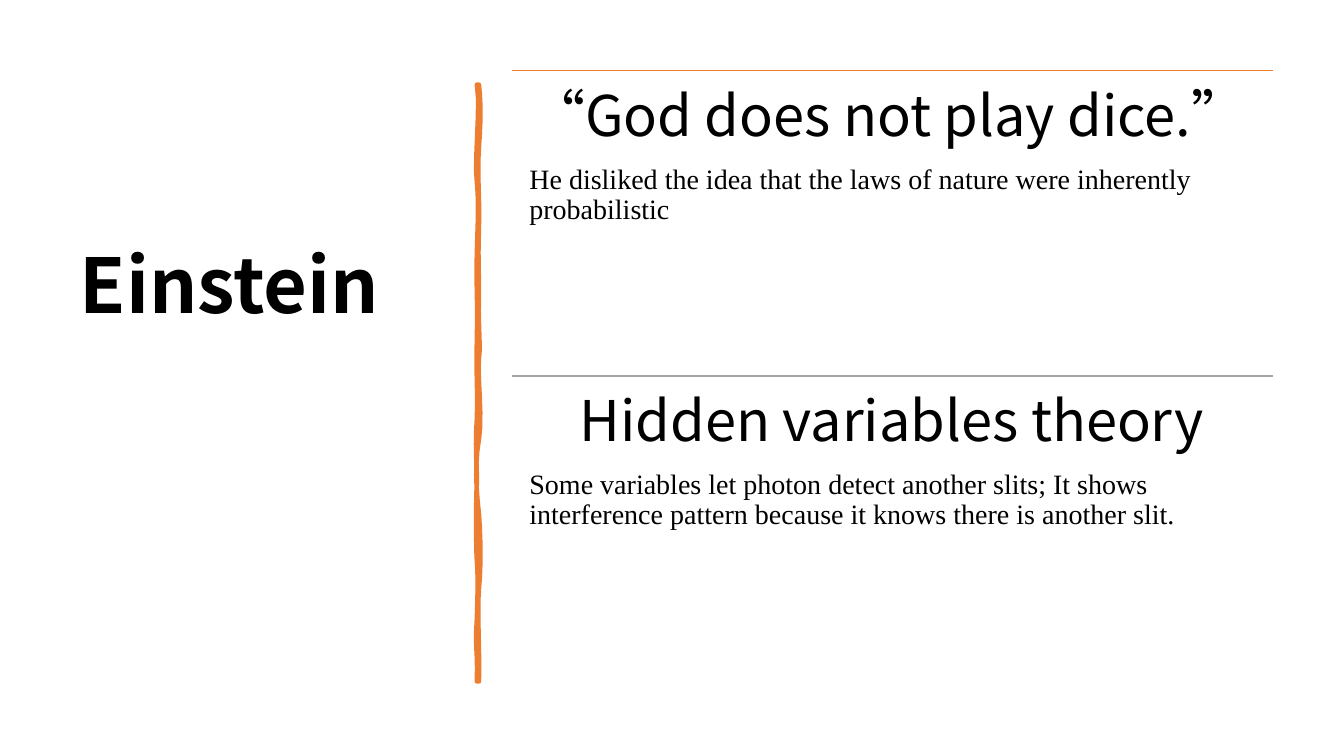
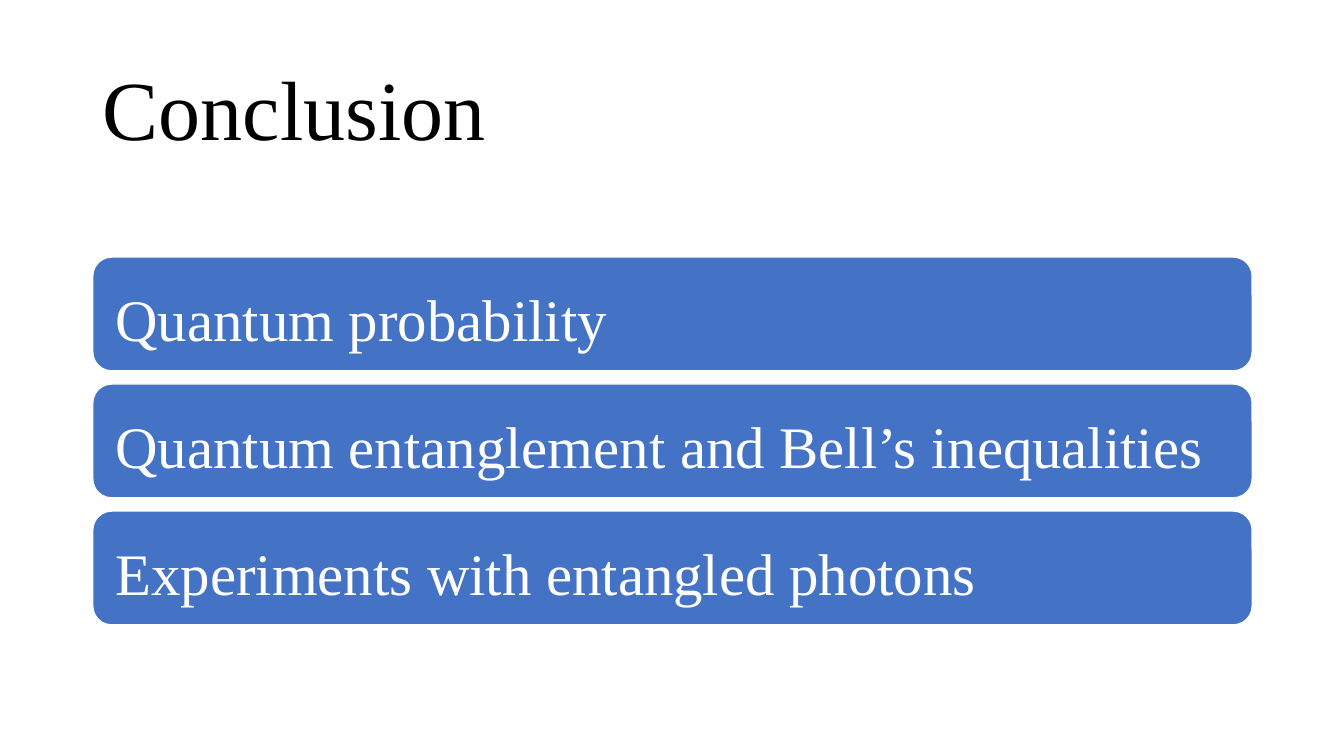
"""Build two slides: Einstein's objections and the conclusion."""
import pptx
import pptx.dml.color
import pptx.enum.shapes
import pptx.enum.text
import pptx.util
import lxml.etree
import pptx.oxml.ns

Inches = pptx.util.Inches
Pt = pptx.util.Pt
COLORS = {"text": "000000", "white": "FFFFFF", "orange": "ED7D31", "gray": "A5A5A5", "blue": "4472C4"}
RGB = {name: pptx.dml.color.RGBColor.from_string(value) for name, value in COLORS.items()}
SANS, SERIF = "Noto Sans CJK SC", "Times New Roman"


def format_paragraph(p, font, size, color="text", bold=False, spacing=0.9):
    p.alignment = pptx.enum.text.PP_ALIGN.LEFT
    p.line_spacing = spacing
    for r in p.runs:
        r.font.name = font
        r.font.size = Pt(size)
        r.font.bold = bold
        r.font.color.rgb = RGB[color]


def add_title_slide(prs, text, box, font, size, bold=False):
    s = prs.slides.add_slide(prs.slide_layouts[5])
    title = s.shapes.title
    title.left, title.top, title.width, title.height = [Inches(v) for v in box]
    tf = title.text_frame
    tf.text = text
    tf.word_wrap = True
    tf.auto_size = pptx.enum.text.MSO_AUTO_SIZE.NONE
    tf.vertical_anchor = pptx.enum.text.MSO_ANCHOR.MIDDLE
    format_paragraph(tf.paragraphs[0], font, size, bold=bold)
    return s


prs = pptx.Presentation()
prs.slide_width, prs.slide_height = Inches(13.33), Inches(7.5)

s = add_title_slide(prs, "Einstein", (0.69, 0.7, 3.74, 4.34), SANS, 54, bold=True)

brush_curves = [
    (4.77, 1.02, 4.77, 1.19, 4.75, 1.46), (4.73, 1.73, 4.76, 1.95, 4.75, 2.26),
    (4.74, 2.57, 4.75, 2.62, 4.75, 2.94), (4.74, 3.25, 4.77, 3.42, 4.75, 3.56),
    (4.73, 3.7, 4.79, 4.14, 4.75, 4.36), (4.71, 4.57, 4.72, 4.84, 4.75, 5.1),
    (4.77, 5.36, 4.77, 5.64, 4.75, 5.84), (4.73, 6.03, 4.76, 6.5, 4.75, 6.76),
    (4.74, 6.76, 4.73, 6.76, 4.73, 6.76), (4.74, 6.46, 4.71, 6.44, 4.73, 6.13),
    (4.74, 5.83, 4.74, 5.7, 4.73, 5.57), (4.72, 5.44, 4.72, 4.95, 4.73, 4.77),
    (4.73, 4.59, 4.71, 4.45, 4.73, 4.15), (4.74, 3.86, 4.72, 3.73, 4.73, 3.35),
    (4.74, 2.98, 4.72, 2.81, 4.73, 2.5), (4.74, 2.18, 4.75, 2, 4.73, 1.81),
    (4.7, 1.63, 4.77, 1.04, 4.73, 0.84),
]
steps = 6
x0, y0 = 4.75, 0.84
builder = s.shapes.build_freeform(Inches(x0), Inches(y0))
points = []
for x1, y1, x2, y2, x3, y3 in brush_curves:
    for step in range(1, steps + 1):
        t = step / steps
        u = 1 - t
        weights = (u ** 3, 3 * u * u * t, 3 * u * t * t, t ** 3)
        x = sum(w * v for w, v in zip(weights, (x0, x1, x2, x3)))
        y = sum(w * v for w, v in zip(weights, (y0, y1, y2, y3)))
        points.append((Inches(x), Inches(y)))
    x0, y0 = x3, y3
builder.add_line_segments(points, close=True)
sp = builder.convert_to_shape()
sp.shadow.inherit = False
sp.fill.solid()
sp.fill.fore_color.rgb = RGB["orange"]
sp.line.color.rgb = RGB["orange"]
sp.line.width = Pt(3.25)
lxml.etree.SubElement(sp.line._get_or_add_ln(), pptx.oxml.ns.qn("a:round"))

sections = [
    ("“God does not play dice.”", 0, "orange",
     "He disliked the idea that the laws of nature were inherently probabilistic"),
    ("Hidden variables theory", 0.5, "gray",
     "Some variables let photon detect another slits; It shows interference pattern "
     "because it knows there is another slit."),
]
left, width, height = 5.08, 7.55, 3.03
for i, (heading, indent, color, body) in enumerate(sections):
    top = Inches(0.7 + i * height)
    line = s.shapes.add_connector(
        pptx.enum.shapes.MSO_CONNECTOR.STRAIGHT, Inches(left), top, Inches(left + width), top)
    line.line.color.rgb = RGB[color]
    line.line.width = Pt(1)
    lxml.etree.SubElement(line._element.spPr, pptx.oxml.ns.qn("a:effectLst"))

    tf = s.shapes.add_textbox(Inches(left), top, Inches(width), Inches(height)).text_frame
    tf.word_wrap = True
    tf.margin_left = tf.margin_top = tf.margin_right = tf.margin_bottom = Inches(0.17)
    p = tf.paragraphs[0]
    p.text = heading
    p.space_after = Pt(12)
    p._p.get_or_add_pPr().set("marL", str(Inches(indent)))
    format_paragraph(p, SANS, 40)
    p = tf.add_paragraph()
    p.text = body
    format_paragraph(p, SERIF, 20)

s = add_title_slide(prs, "Conclusion", (0.92, 0.4, 11.5, 1.45), SERIF, 60)
conclusions = [
    "Quantum probability",
    "Quantum entanglement and Bell’s inequalities",
    "Experiments with entangled photons",
]
for i, text in enumerate(conclusions):
    sp = s.shapes.add_shape(
        pptx.enum.shapes.MSO_SHAPE.ROUNDED_RECTANGLE,
        Inches(0.92), Inches(2.55 + i * 1.26), Inches(11.5), Inches(1.13))
    sp.shadow.inherit = False
    sp.fill.solid()
    sp.fill.fore_color.rgb = RGB["blue"]
    sp.line.color.rgb = RGB["white"]
    sp.line.width = Pt(1)
    tf = sp.text_frame
    tf.text = text
    tf.word_wrap = True
    tf.vertical_anchor = pptx.enum.text.MSO_ANCHOR.MIDDLE
    tf.margin_left = tf.margin_right = Inches(0.17)
    tf.margin_top, tf.margin_bottom = Inches(0.08), 0
    format_paragraph(tf.paragraphs[0], SERIF, 42, "white", spacing=1.0)

prs.save("out.pptx")
